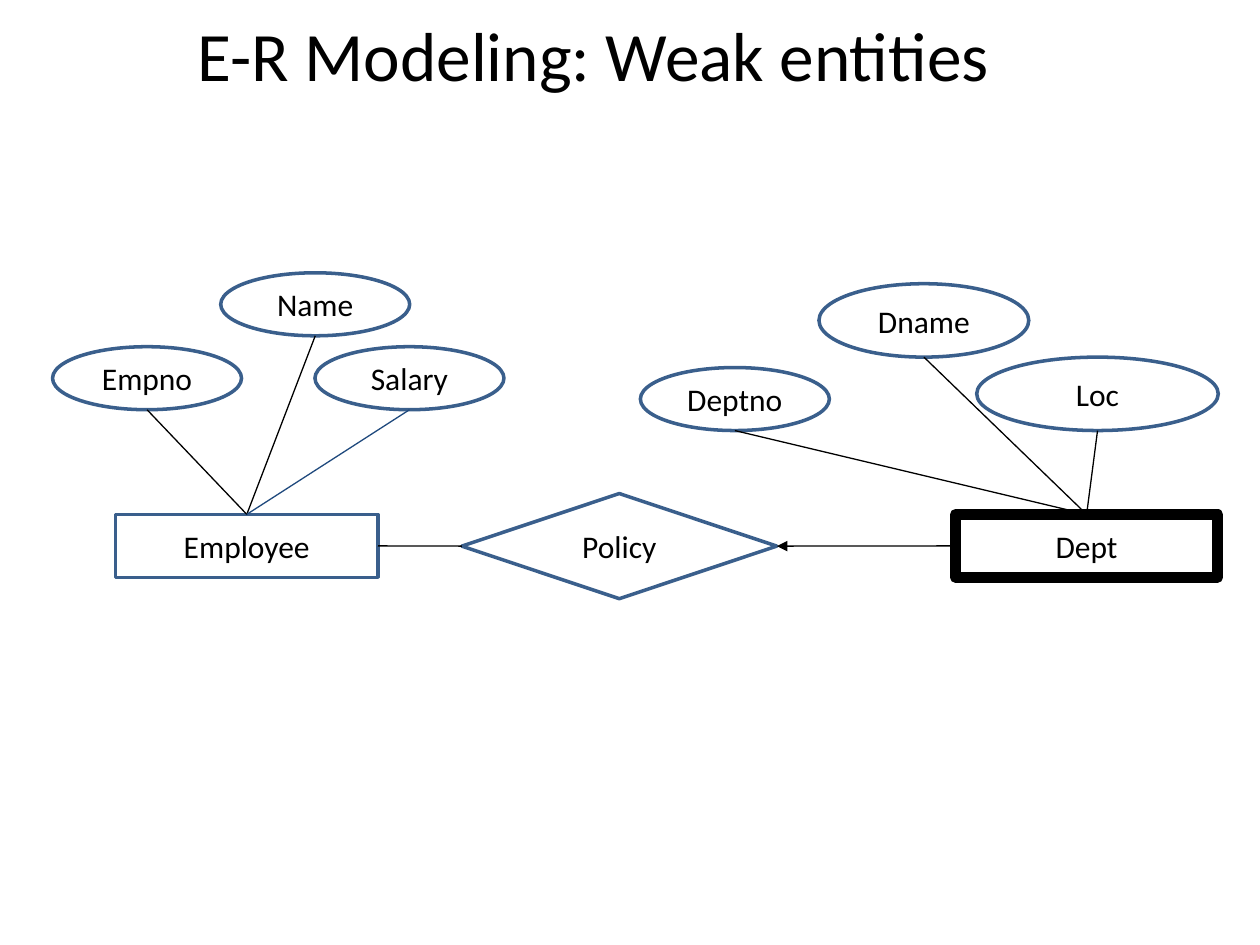
from lxml import etree
from pptx import Presentation
from pptx.dml.color import RGBColor
from pptx.enum import shapes, text
from pptx.oxml.ns import qn
from pptx.util import Cm, Pt

COLORS = {"white": "FFFFFF", "black": "000000", "outline": "3A5F8C", "navy": "1F497D"}
TOP, LEFT, RIGHT = 0, 1, 3
KINDS = shapes.MSO_SHAPE


def add_node(kind, label, left, top, width, height, color="outline", weight=2):
    shape = slide.shapes.add_shape(kind, Cm(left), Cm(top), Cm(width), Cm(height))
    shape.shadow.inherit = False
    shape.fill.solid()
    shape.fill.fore_color.rgb = RGBColor.from_string(COLORS["white"])
    shape.line.color.rgb = RGBColor.from_string(COLORS[color])
    shape.line.width = Pt(weight)
    shape.text_frame.vertical_anchor = text.MSO_ANCHOR.MIDDLE
    shape.text_frame.text = label
    paragraph = shape.text_frame.paragraphs[0]
    paragraph.alignment = text.PP_ALIGN.CENTER
    paragraph.font.name = "Calibri"
    paragraph.font.size = Pt(18)
    paragraph.font.color.rgb = RGBColor.from_string(COLORS["black"])
    return shape


def add_link(x, y, target, site, color="black"):
    connector = slide.shapes.add_connector(shapes.MSO_CONNECTOR.STRAIGHT, x, y, x, y)
    connector.end_connect(target, site)
    connector.line.color.rgb = RGBColor.from_string(COLORS[color])
    connector.line.width = Pt(0.75)
    etree.SubElement(connector._element.spPr, qn("a:effectLst"))
    return connector


presentation = Presentation()
presentation.slide_width, presentation.slide_height = Cm(25.4), Cm(19.05)
slide = presentation.slides.add_slide(presentation.slide_layouts[5])

# Title
title = slide.shapes.title
title.left, title.top, title.width, title.height = Cm(1.06), Cm(0.3), Cm(21.8), Cm(1.55)
title.text_frame.text = "E-R Modeling: Weak entities"
title.text_frame.vertical_anchor = text.MSO_ANCHOR.MIDDLE
paragraph = title.text_frame.paragraphs[0]
paragraph.alignment = text.PP_ALIGN.CENTER
paragraph.font.name = "Calibri"
paragraph.font.size = Pt(39.6)
paragraph.font.color.rgb = RGBColor.from_string(COLORS["black"])

# Entities and their relationship
employee = add_node(KINDS.RECTANGLE, "Employee", 2.33, 10.37, 5.29, 1.27)
policy = add_node(KINDS.FLOWCHART_DECISION, "Policy", 9.31, 9.95, 6.35, 2.12)
dept = add_node(KINDS.RECTANGLE, "Dept", 19.26, 10.37, 5.29, 1.27, "black", 6)

# Attributes, each linked from its lowest point to the top of its entity
attributes = [
    ("Empno", 1.06, 6.99, 3.81, 1.27, employee, "black"),
    ("Name", 4.45, 5.5, 3.81, 1.27, employee, "black"),
    ("Salary", 6.35, 6.99, 3.81, 1.27, employee, "navy"),
    ("Deptno", 12.91, 7.41, 3.81, 1.27, dept, "black"),
    ("Dname", 16.51, 5.72, 4.23, 1.48, dept, "black"),
    ("Loc", 19.69, 7.2, 4.87, 1.48, dept, "black"),
]
for label, left, top, width, height, entity, color in attributes:
    add_node(KINDS.OVAL, label, left, top, width, height)
    add_link(Cm(left + width / 2), Cm(top + height), entity, TOP, color)

# Relationship links, with an arrowhead at the Policy end of the Dept link
for source, source_site, target, target_site in [
    (employee, RIGHT, policy, LEFT),
    (policy, RIGHT, dept, LEFT),
]:
    link = add_link(0, 0, target, target_site)
    link.begin_connect(source, source_site)
etree.SubElement(link.line._get_or_add_ln(), qn("a:headEnd"), type="triangle")

presentation.save("out.pptx")
